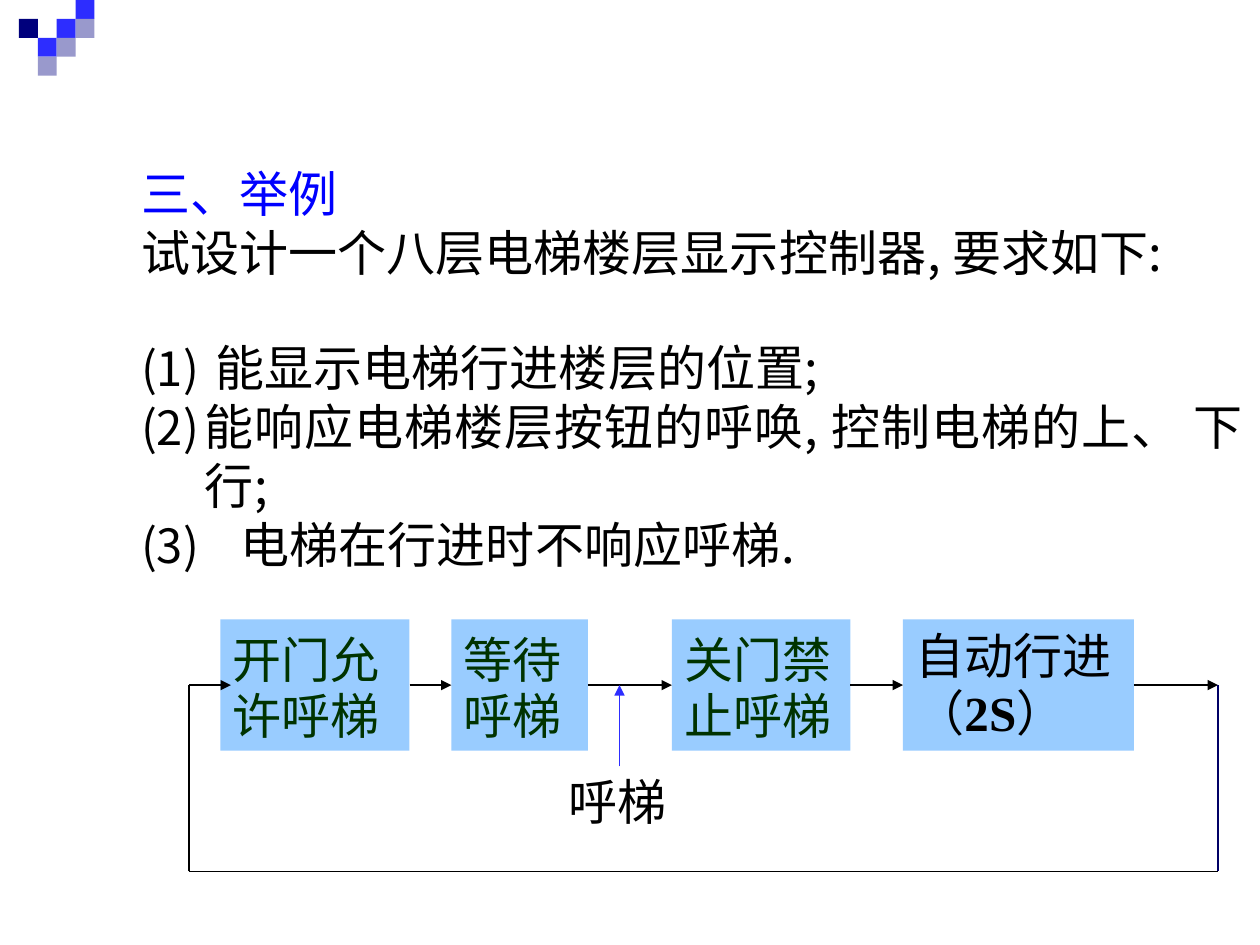
from dataclasses import dataclass
from typing import Optional

from lxml import etree
from pptx import Presentation
from pptx import util as u
from pptx.dml.color import RGBColor
from pptx.enum import shapes, text
from pptx.oxml import ns


@dataclass(frozen=True)
class Theme:
    navy: str = "00007C"
    blue: str = "2D2DFF"
    lavender: str = "9999CC"
    heading: str = "0000FF"
    ink: str = "000000"
    box: str = "99CCFF"
    box_ink: str = "003300"
    return_line: str = "000066"
    font: str = "Noto Sans CJK SC"
    latin_font: str = "Times New Roman"
    size: float = 28
    leading: float = 33.6
    line: float = 0.75


@dataclass(frozen=True)
class Requirement:
    words: str
    indent: float
    hanging: float
    tab: float
    tracking: float = 0.1
    before: float = 0


@dataclass(frozen=True)
class Step:
    left: float
    right: float
    lines: tuple
    color: str
    leading: float = 32
    top_inset: float = 0.1


@dataclass(frozen=True)
class Link:
    start: tuple
    end: tuple
    color: str = Theme.ink
    head: bool = True
    source: Optional[int] = None
    target: Optional[int] = None


THEME = Theme()
CELL = 0.15                 # ornament grid, inches
GRID = 1 / 12               # flow chart grid, inches
BOX_TOP, BOX_ROWS = 59, 12.5
MIDDLE = BOX_TOP + BOX_ROWS / 2
LOOP_ROW, LOOP_LEFT, LOOP_RIGHT = 83, 18, 116
CALL_COLUMN = 59

SQUARES = [(4, 0, THEME.blue), (3, 1, THEME.blue), (2, 2, THEME.blue), (1, 1, THEME.navy),
           (4, 1, THEME.lavender), (3, 2, THEME.lavender), (2, 3, THEME.lavender)]
INTRO = "试设计一个八层电梯楼层显示控制器, 要求如下:"
REQUIREMENTS = [
    Requirement("能显示电梯行进楼层的位置;", 0.6, -0.59, 0.6, before=32),
    Requirement("能响应电梯楼层按钮的呼唤, 控制电梯的上、 下行;", 0.51, -0.5, 0.81, 0.65),
    Requirement("电梯在行进时不响应呼梯.", 0.8, -0.79, 0.8),
]
STEPS = [
    Step(21, 39, ("开门允 许呼梯",), THEME.box_ink),
    Step(43, 56, ("等待 呼梯",), THEME.box_ink),
    Step(64, 81, ("关门禁 止呼梯",), THEME.box_ink),
    Step(86, 108, ("自动行进", "（2S）"), THEME.ink, 32.8, 0.06),
]
# Forward arrows between neighbours, then the return loop and the call
LINKS = [Link((a.right, MIDDLE), (b.left, MIDDLE), source=i, target=i + 1)
         for i, (a, b) in enumerate(zip(STEPS, STEPS[1:]))] + [
    Link((STEPS[-1].right, MIDDLE), (LOOP_RIGHT, MIDDLE), source=len(STEPS) - 1),
    Link((LOOP_RIGHT, MIDDLE), (LOOP_RIGHT, LOOP_ROW), THEME.return_line, False),
    Link((LOOP_RIGHT, LOOP_ROW), (LOOP_LEFT, LOOP_ROW), head=False),
    Link((LOOP_LEFT, LOOP_ROW), (LOOP_LEFT, MIDDLE), head=False),
    Link((LOOP_LEFT, MIDDLE), (STEPS[0].left + 1, MIDDLE)),
    Link((CALL_COLUMN, 73), (CALL_COLUMN, MIDDLE), THEME.blue),
]


def grid(value: float) -> int:
    return u.Inches(value * GRID)


def set_all(target, values: dict) -> None:
    for name, value in values.items():
        setattr(target, name, value)


def place(shape, left: float, top: float, width: float, height: float) -> None:
    set_all(shape, dict(left=u.Inches(left), top=u.Inches(top),
                        width=u.Inches(width), height=u.Inches(height)))


def prepare_frame(frame, left: float = 0, top: float = 0) -> None:
    set_all(frame, dict(word_wrap=True, auto_size=text.MSO_AUTO_SIZE.NONE,
                        vertical_anchor=text.MSO_ANCHOR.TOP,
                        margin_left=u.Inches(left), margin_top=u.Inches(top),
                        margin_right=0, margin_bottom=0))


def write(paragraph, words: str, color: str, leading: float = THEME.leading,
          tracking: float = 0.1, before: float = 0) -> None:
    set_all(paragraph, dict(alignment=text.PP_ALIGN.LEFT, line_spacing=u.Pt(leading),
                            space_before=u.Pt(before), space_after=u.Pt(0)))
    # Latin letters and digits between full-width brackets are set bold
    pieces = ["（", "2S", "）"] if words == "（2S）" else [words]
    for piece in pieces:
        run = paragraph.add_run()
        run.text = piece
        latin = piece == "2S"
        set_all(run.font, dict(size=u.Pt(THEME.size), bold=latin,
                               name=THEME.latin_font if latin else THEME.font))
        run.font.color.rgb = RGBColor.from_string(color)
        properties = run.font._element
        properties.set("spc", str(round(tracking * 100)))
        east_asian = etree.SubElement(properties, ns.qn("a:ea"))
        east_asian.set("typeface", THEME.font)


def set_indent(paragraph, indent: float, hanging: float):
    properties = paragraph._p.get_or_add_pPr()
    properties.set("marL", str(u.Inches(indent)))
    properties.set("indent", str(u.Inches(hanging)))
    return properties


def number(paragraph, item: Requirement) -> None:
    properties = set_indent(paragraph, item.indent, item.hanging)
    etree.SubElement(properties, ns.qn("a:buSzPct")).set("val", "96000")
    etree.SubElement(properties, ns.qn("a:buFont")).set("typeface", THEME.font)
    etree.SubElement(properties, ns.qn("a:buAutoNum")).set("type", "arabicParenBoth")
    tabs = etree.SubElement(properties, ns.qn("a:tabLst"))
    tab = etree.SubElement(tabs, ns.qn("a:tab"))
    tab.set("pos", str(u.Inches(item.tab)))
    tab.set("algn", "l")


def add_block(slide, left: int, top: int, width: int, height: int, color: str):
    shape = slide.shapes.add_shape(shapes.MSO_SHAPE.RECTANGLE, left, top, width, height)
    shape.shadow.inherit = False
    shape.fill.solid()
    shape.fill.fore_color.rgb = RGBColor.from_string(color)
    shape.line.fill.background()
    return shape


def add_step(slide, step: Step):
    shape = add_block(slide, grid(step.left), grid(BOX_TOP),
                      grid(step.right - step.left), grid(BOX_ROWS), THEME.box)
    frame = shape.text_frame
    prepare_frame(frame, 0.1, step.top_inset)
    for index, words in enumerate(step.lines):
        paragraph = frame.add_paragraph() if index else frame.paragraphs[0]
        write(paragraph, words, step.color, step.leading)
    return shape


def add_link(slide, link: Link, boxes: list) -> None:
    connector = slide.shapes.add_connector(shapes.MSO_CONNECTOR.STRAIGHT,
                                           *map(grid, link.start + link.end))
    if link.source is not None:
        connector.begin_connect(boxes[link.source], 3)
    if link.target is not None:
        connector.end_connect(boxes[link.target], 1)
    connector.line.width = u.Pt(THEME.line)
    connector.line.color.rgb = RGBColor.from_string(link.color)
    if link.head:
        tail = etree.SubElement(connector.line._get_or_add_ln(), ns.qn("a:tailEnd"))
        tail.set("type", "triangle")
    etree.SubElement(connector._element.spPr, ns.qn("a:effectLst"))


def main() -> None:
    presentation = Presentation()
    set_all(presentation, dict(slide_width=u.Inches(10), slide_height=u.Inches(7.5)))
    slide = presentation.slides.add_slide(presentation.slide_layouts[1])

    # Corner ornament
    for column, row, color in SQUARES:
        add_block(slide, u.Inches(column * CELL), u.Inches(row * CELL),
                  u.Inches(CELL), u.Inches(CELL), color)

    # Heading and numbered requirements
    title, body = slide.placeholders
    place(title, 1.12, 1.3, 8.79, 0.47)
    prepare_frame(title.text_frame)
    write(title.text_frame.paragraphs[0], "三、举例", THEME.heading)
    place(body, 1.11, 1.77, 8.8, 2.8)
    prepare_frame(body.text_frame)
    intro = body.text_frame.paragraphs[0]
    etree.SubElement(set_indent(intro, 0.01, 0), ns.qn("a:buNone"))
    write(intro, INTRO, THEME.ink)
    for item in REQUIREMENTS:
        paragraph = body.text_frame.add_paragraph()
        number(paragraph, item)
        write(paragraph, item.words, THEME.ink, tracking=item.tracking, before=item.before)

    # Flow chart
    boxes = [add_step(slide, step) for step in STEPS]
    for link in LINKS:
        add_link(slide, link, boxes)
    label = slide.shapes.add_textbox(u.Inches(4.51), u.Inches(6.12), u.Inches(0.85), u.Inches(0.49))
    prepare_frame(label.text_frame)
    write(label.text_frame.paragraphs[0], "呼梯", THEME.ink)

    presentation.save("out.pptx")


if __name__ == "__main__":
    main()
